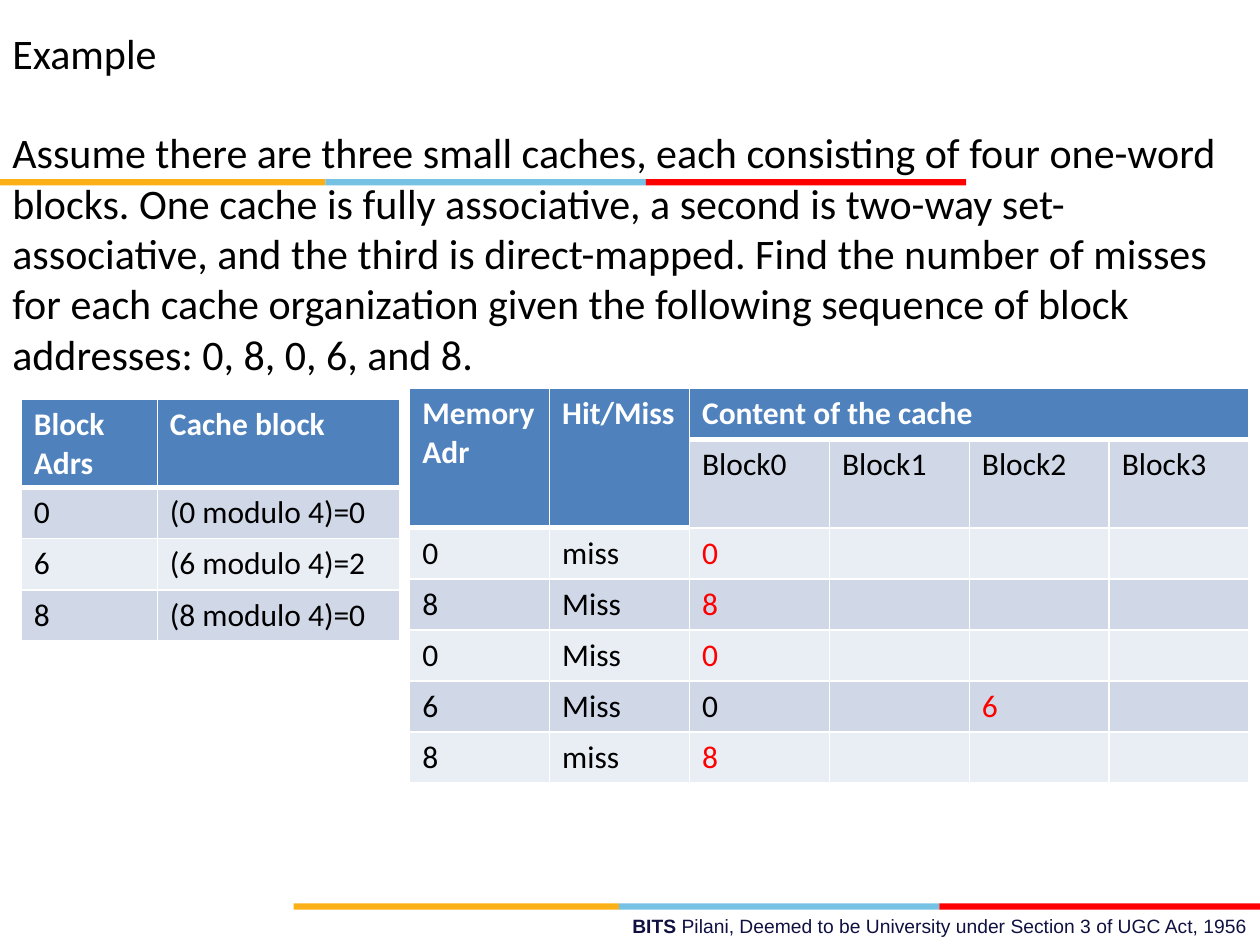
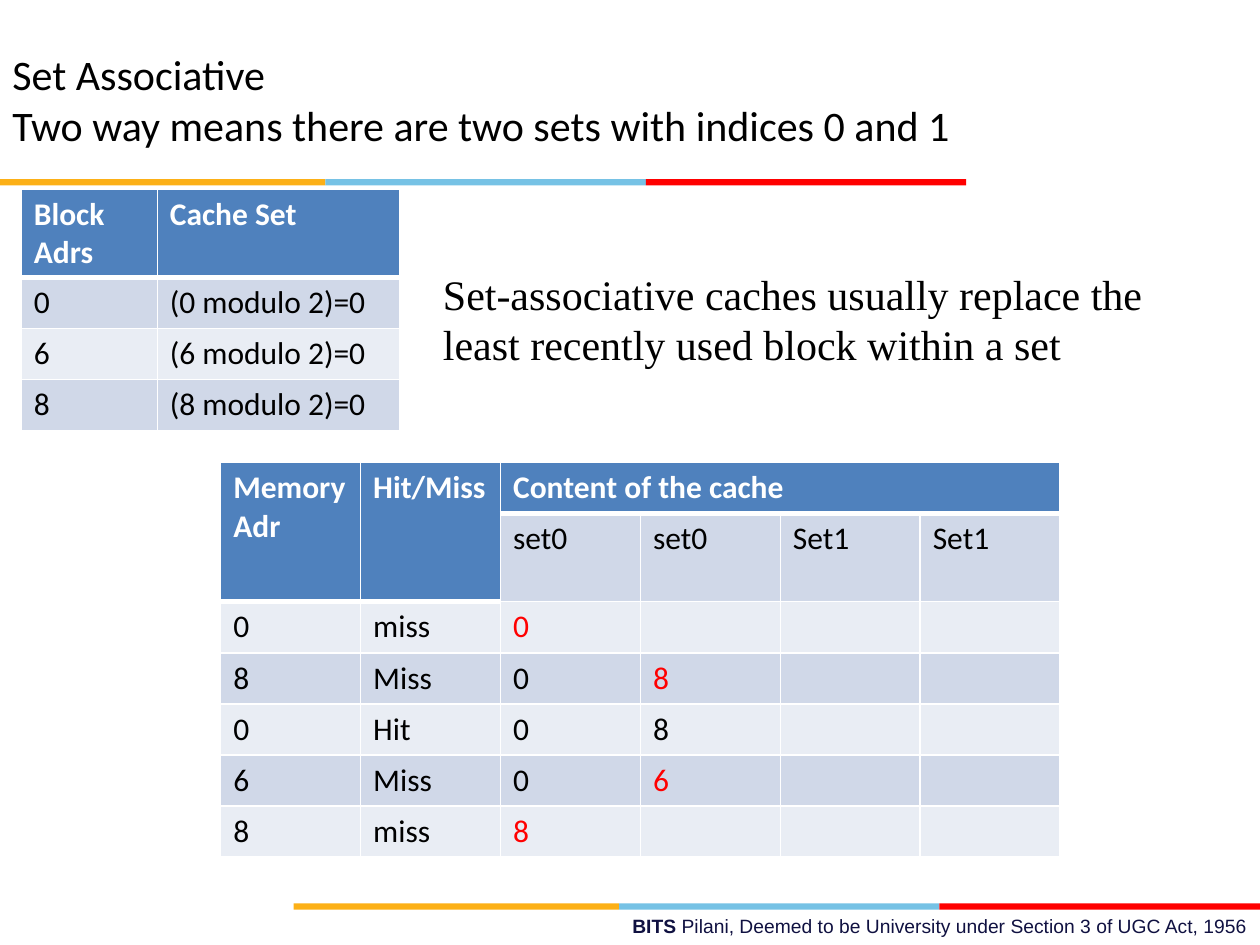
from lxml import etree
from pptx import Presentation
from pptx.dml.color import RGBColor
from pptx.enum.shapes import MSO_SHAPE
from pptx.enum.text import MSO_AUTO_SIZE, PP_ALIGN
from pptx.oxml.ns import qn
from pptx.util import Cm, Pt

RECTANGLE = MSO_SHAPE.RECTANGLE
GROW = MSO_AUTO_SIZE.SHAPE_TO_FIT_TEXT
LEFT, RIGHT = PP_ALIGN.LEFT, PP_ALIGN.RIGHT

WHITE, BLACK, RED = "FFFFFF", "000000", "FF0000"
HEADER_FILL, ROW_FILLS = "4F81BD", ("E9EDF4", "D0D8E8")
BAND_EDGES = (0, 6.56, 13.02, 19.48)
BAND_COLORS = ("FCB017", "76C2E5", RED)

BODY = {"name": "Calibri", "size": Pt(24), "color": BLACK}
SERIF = {**BODY, "name": "Times New Roman"}
FOOTER = {"name": "Arial", "size": Pt(11), "color": "101141", "bold": False}
CELL = {"name": "Calibri", "size": Pt(18), "color": BLACK, "bold": False}
HEADER = {**CELL, "color": WHITE, "bold": True}
LOADED = {**CELL, "color": RED}

ROW_HEIGHT = 1.03
MAPPING_WIDTHS = (2.74, 4.88)
TRACE_WIDTHS = (2.82,) * 6


def rgb(color):
    return RGBColor.from_string(color)


class Deck:
    """Holds the shared style and the slide being drawn."""

    def __init__(self):
        self.presentation = Presentation()
        self.presentation.slide_width = Cm(25.4)
        self.presentation.slide_height = Cm(19.05)
        self.slide = None

    def new_slide(self):
        layout = self.presentation.slide_layouts[6]
        self.slide = self.presentation.slides.add_slide(layout)
        self.band(0, 3.61)
        self.band(5.92, 18.21)
        footer = [("BITS ", {**FOOTER, "bold": True}),
                  ("Pilani, Deemed to be University under Section 3 of UGC Act, 1956", FOOTER)]
        self.text(9.09, 18.31, 16.31, 0.74, [footer], RIGHT)

    def band(self, left, top):
        for start, end, color in zip(BAND_EDGES, BAND_EDGES[1:], BAND_COLORS):
            shape = self.slide.shapes.add_shape(
                RECTANGLE, Cm(left + start), Cm(top), Cm(end - start), Cm(0.13))
            shape.shadow.inherit = False
            shape.fill.solid()
            shape.fill.fore_color.rgb = rgb(color)
            shape.line.fill.background()

    def add_run(self, paragraph, text, style):
        run = paragraph.add_run()
        run.text = text
        for key, value in style.items():
            if key == "color":
                run.font.color.rgb = rgb(value)
            else:
                setattr(run.font, key, value)

    def text(self, left, top, width, height, paragraphs, alignment=LEFT):
        """Each paragraph is a list of (text, style) runs."""
        box = self.slide.shapes.add_textbox(Cm(left), Cm(top), Cm(width), Cm(height))
        frame = box.text_frame
        frame.word_wrap = True
        frame.auto_size = GROW
        for index, runs in enumerate(paragraphs):
            paragraph = frame.add_paragraph() if index else frame.paragraphs[0]
            paragraph.alignment = alignment
            for text, style in runs:
                self.add_run(paragraph, text, style)

    def cell(self, cell, text, style, fill, bottom=1):
        properties = cell._tc.get_or_add_tcPr()
        for side, points in (("L", 1), ("R", 1), ("T", 1), ("B", bottom)):
            line = etree.SubElement(properties, qn(f"a:ln{side}"), w=str(Pt(points)))
            solid = etree.SubElement(line, qn("a:solidFill"))
            etree.SubElement(solid, qn("a:srgbClr"), val=WHITE)
        cell.fill.solid()
        cell.fill.fore_color.rgb = rgb(fill)
        if text:
            self.add_run(cell.text_frame.paragraphs[0], text, style)

    def table(self, left, top, widths, rows):
        shape = self.slide.shapes.add_table(
            len(rows), len(widths), Cm(left), Cm(top),
            Cm(sum(widths)), Cm(ROW_HEIGHT * len(rows)))
        table = shape.table
        for column, width in zip(table.columns, widths):
            column.width = Cm(width)
        for row in table.rows:
            row.height = Cm(ROW_HEIGHT)
        return table

    def mapping_table(self, top, heading, modulus):
        """Shows where each block address lands in the cache."""
        rows = [("Block Adrs", heading)]
        rows += [(str(block), f"({block} modulo {modulus})={block % modulus}")
                 for block in (0, 6, 8)]
        table = self.table(0.43, top, MAPPING_WIDTHS, rows)
        for r, row in enumerate(rows):
            for c, text in enumerate(row):
                if r == 0:
                    self.cell(table.cell(r, c), text, HEADER, HEADER_FILL, 3)
                else:
                    self.cell(table.cell(r, c), text, CELL, ROW_FILLS[r % 2])

    def trace_table(self, left, top, places, accesses):
        """Shows cache contents per access; newly loaded blocks are red."""
        rows = [("Memory Adr", "Hit/Miss", "Content of the cache", "", "", ""),
                ("", "", *places), *accesses]
        table = self.table(left, top, TRACE_WIDTHS, rows)
        for r, row in enumerate(rows):
            for c, text in enumerate(row):
                if r == 0 or (r == 1 and c < 2):
                    self.cell(table.cell(r, c), text, HEADER, HEADER_FILL, 3)
                    continue
                loaded = r > 1 and c > 1 and text != rows[r - 1][c]
                self.cell(table.cell(r, c), text, LOADED if loaded else CELL,
                          ROW_FILLS[r % 2])
        for column in (0, 1):
            table.cell(0, column).merge(table.cell(1, column))
        table.cell(0, 2).merge(table.cell(0, 5))


def direct_mapped_slide(deck):
    deck.new_slide()
    question = (
        "Assume there are three small caches, each consisting of four one-word blocks. "
        "One cache is fully associative, a second is two-way set-associative, and the "
        "third is direct-mapped. Find the number of misses for each cache organization "
        "given the following sequence of block addresses: 0, 8, 0, 6, and 8.")
    deck.text(0, 2.43, 24.98, 5.38, [[(question, BODY)]])
    deck.text(0, 0.43, 14.18, 1.28, [[("Example", BODY)]])
    deck.mapping_table(8.05, "Cache block", 4)
    deck.trace_table(8.26, 7.83, [f"Block{index}" for index in range(4)], [
        ("0", "miss", "0", "", "", ""),
        ("8", "Miss", "8", "", "", ""),
        ("0", "Miss", "0", "", "", ""),
        ("6", "Miss", "0", "", "6", ""),
        ("8", "miss", "8", "", "", ""),
    ])


def set_associative_slide(deck):
    deck.new_slide()
    deck.text(0, 0.86, 19.48, 2.31, [
        [("Set Associative", BODY)],
        [("Two way means there are two sets with indices 0 and 1", BODY)]])
    deck.mapping_table(3.81, "Cache Set", 2)
    deck.text(8.68, 5.29, 16.09, 2.31, [[(
        "Set-associative caches usually replace the least recently used "
        "block within a set", SERIF)]])
    deck.trace_table(4.45, 9.32, ("set0", "set0", "Set1", "Set1"), [
        ("0", "miss", "0", "", "", ""),
        ("8", "Miss", "0", "8", "", ""),
        ("0", "Hit", "0", "8", "", ""),
        ("6", "Miss", "0", "6", "", ""),
        ("8", "miss", "8", "", "", ""),
    ])


def main():
    deck = Deck()
    direct_mapped_slide(deck)
    set_associative_slide(deck)
    deck.presentation.save("out.pptx")


if __name__ == "__main__":
    main()
